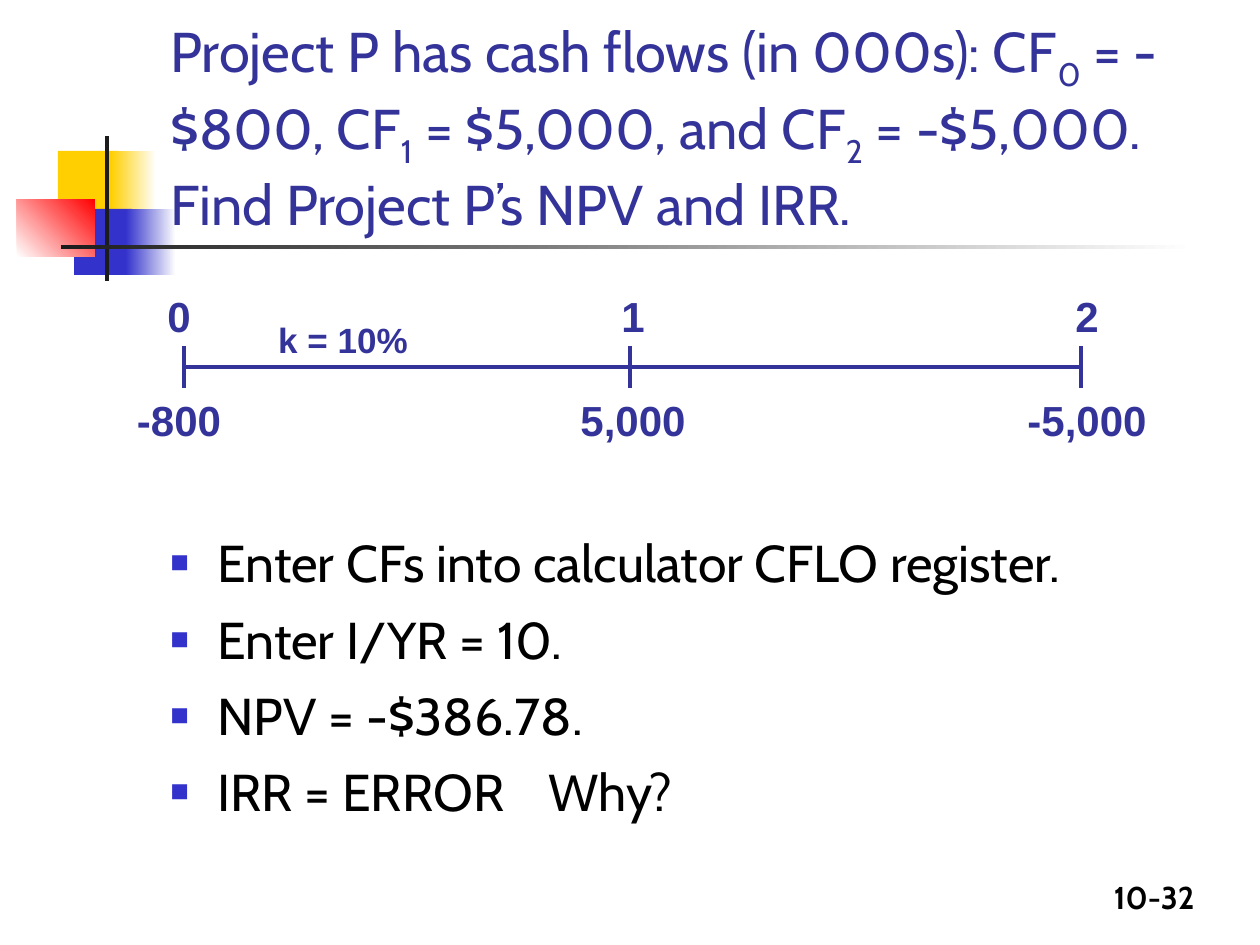
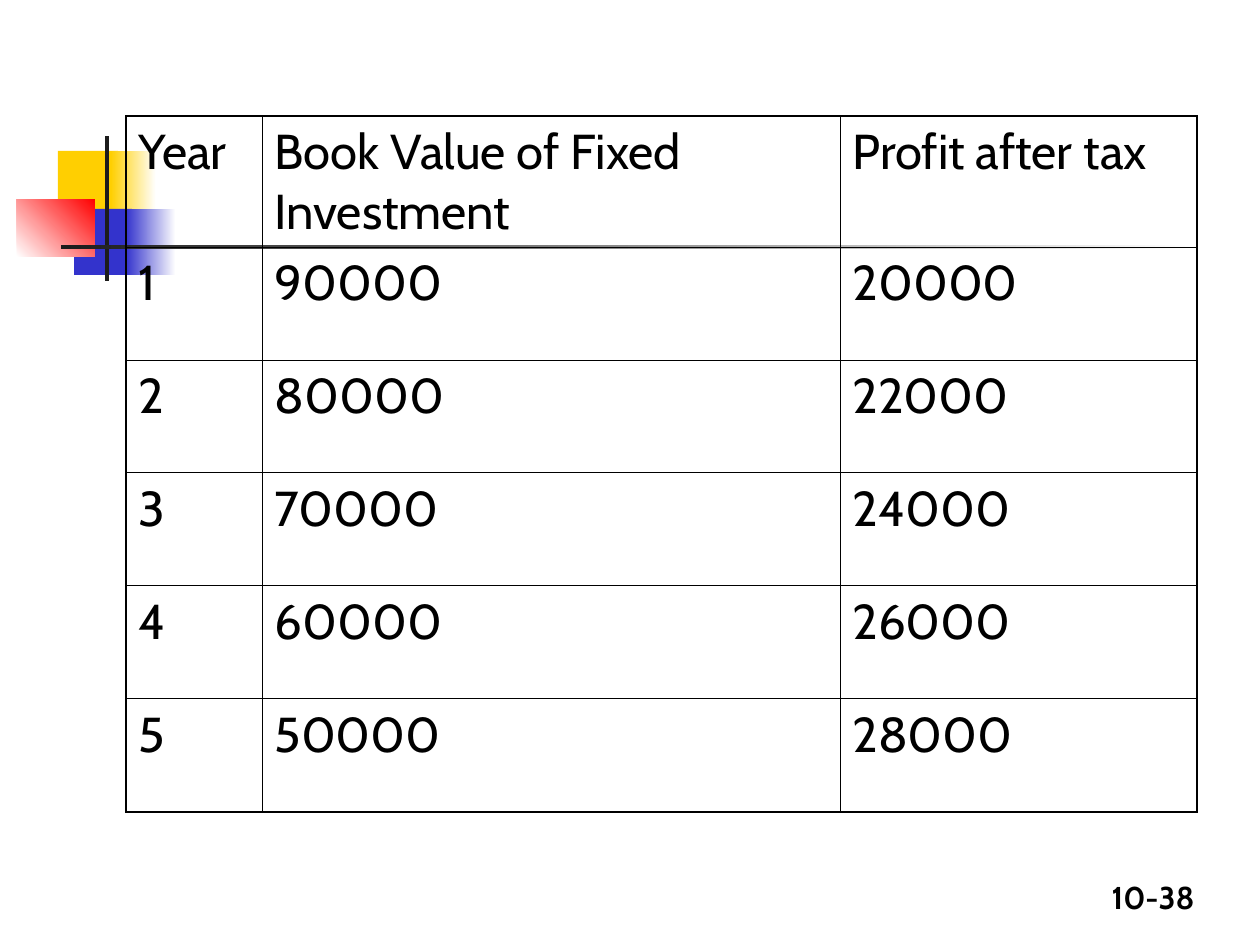
"""Build two capital budgeting slides: a cash flow time line and a book value table."""
from lxml import etree
from pptx import Presentation
from pptx.dml.color import RGBColor
from pptx.enum.shapes import MSO_CONNECTOR, MSO_SHAPE
from pptx.enum.text import MSO_ANCHOR, PP_ALIGN
from pptx.oxml import parse_xml
from pptx.oxml.ns import nsdecls, qn
from pptx.util import Emu, Pt

STRAIGHT = MSO_CONNECTOR.STRAIGHT
RECTANGLE = MSO_SHAPE.RECTANGLE
BOTTOM = MSO_ANCHOR.BOTTOM
LEFT, CENTER, RIGHT = PP_ALIGN.LEFT, PP_ALIGN.CENTER, PP_ALIGN.RIGHT

BLACK = RGBColor(0x00, 0x00, 0x00)
WHITE = RGBColor(0xFF, 0xFF, 0xFF)
CHARCOAL = RGBColor(0x1C, 0x1C, 0x1C)
YELLOW = RGBColor(0xFF, 0xCF, 0x01)
BLUE = RGBColor(0x33, 0x33, 0xCC)
RED = RGBColor(0xFF, 0x00, 0x00)
INDIGO = RGBColor(0x33, 0x33, 0x99)


def px(*lengths):
    return [Emu(round(length * 914400 / 126)) for length in lengths]


def write(frame, text, size=28, color=BLACK, font="Cabin", bold=False, align=LEFT, gap=0):
    frame.word_wrap = True
    for i, line in enumerate(text.split("\n")):
        paragraph = frame.paragraphs[0] if i == 0 else frame.add_paragraph()
        paragraph.alignment = align
        if i and gap:
            paragraph.space_before = Pt(gap)
        for j, piece in enumerate(line.split("~")):
            run = paragraph.add_run()
            run.text = piece
            run.font.size = Pt(size)
            run.font.name = font
            run.font.bold = bold
            run.font.color.rgb = color
            if j % 2:
                run.font._element.set("baseline", "-25000")
    return frame


MOTIF = [
    ((58, 151, 60, 66), (YELLOW,), 0),
    ((111, 151, 45, 66), (YELLOW, WHITE), 0),
    ((74, 209, 58, 66), (BLUE,), 0),
    ((126, 209, 50, 66), (BLUE, WHITE), 0),
    ((17, 199, 78, 58), (WHITE, RED), 45),
    ((105, 136, 4, 145), (CHARCOAL,), 0),
    ((61, 245, 1134, 4), (CHARCOAL, WHITE), 0),
]

prs = Presentation()
prs.slide_width, prs.slide_height = px(1260, 945)
slides = []
for page in ("10-32", "10-38"):
    slide = prs.slides.add_slide(prs.slide_layouts[6])
    for box, colors, angle in MOTIF:
        block = slide.shapes.add_shape(RECTANGLE, *px(*box))
        block.shadow.inherit = False
        block.line.fill.background()
        if len(colors) == 1:
            block.fill.solid()
            block.fill.fore_color.rgb = colors[0]
        else:
            block.fill.gradient()
            block.fill.gradient_angle = angle
            for stop, color in zip(block.fill.gradient_stops, colors):
                stop.color.rgb = color
    page_number = slide.shapes.add_textbox(*px(945, 872, 262, 55))
    write(page_number.text_frame, page, size=18, bold=True, align=RIGHT)
    slides.append(slide)
cash_flow_slide, book_value_slide = slides

title = cash_flow_slide.shapes.add_textbox(*px(158, 42, 1073, 201)).text_frame
title.vertical_anchor = BOTTOM
write(title, "Project P has cash flows (in 000s): CF~0~ = -$800, CF~1~ = $5,000, "
             "and CF~2~ = -$5,000. Find Project P’s NPV and IRR.", size=32, color=INDIGO)

steps = cash_flow_slide.shapes.add_textbox(*px(158, 525, 1071, 347)).text_frame
write(steps, "Enter CFs into calculator CFLO register.\nEnter I/YR = 10.\n"
             "NPV = -$386.78.\nIRR = ERROR\tWhy?", size=29.6, gap=8)
indent, why_stop = px(47, 378)
for step in steps.paragraphs:
    properties = step._p.get_or_add_pPr()
    properties.set("marL", str(indent))
    properties.set("indent", str(-indent))
    for xml in (f'<a:buClr {nsdecls("a")}><a:srgbClr val="{BLUE}"/></a:buClr>',
                f'<a:buSzPct {nsdecls("a")} val="60000"/>',
                f'<a:buFont {nsdecls("a")} typeface="Arial"/>',
                f'<a:buChar {nsdecls("a")} char="■"/>',
                f'<a:tabLst {nsdecls("a")}><a:tab pos="{why_stop}" algn="l"/></a:tabLst>'):
        properties.append(parse_xml(xml))

TICKS = (184, 630, 1081)
AXIS_Y, TICK_TOP, TICK_BOTTOM = 367, 346, 388
time_lines = [(TICKS[0], AXIS_Y, TICKS[-1], AXIS_Y)]
time_lines += [(x, TICK_TOP, x, TICK_BOTTOM) for x in TICKS]
for ends in time_lines:
    stroke = cash_flow_slide.shapes.add_connector(STRAIGHT, *px(*ends))
    stroke.line.color.rgb = INDIGO
    stroke.line.width = Pt(2)
    etree.SubElement(stroke._element.spPr, qn("a:effectLst"))

LABEL_WIDTH = 170
time_labels = [("k = 10%", 343, 312, 20)]
for period, cash_flow in enumerate(("-800", "5,000", "-5,000")):
    center = 179 + 454 * period
    time_labels += [(str(period), center, 284, 24), (cash_flow, center, TICK_BOTTOM, 24)]
for text, center, top, size in time_labels:
    label = cash_flow_slide.shapes.add_textbox(
        *px(center - LABEL_WIDTH / 2, top, LABEL_WIDTH, 63))
    write(label.text_frame, text, size=size, color=INDIGO, font="Arial", bold=True, align=CENTER)

BOOK_VALUES = [
    ("Year", "Book Value of Fixed Investment", "Profit after tax"),
    (1, 90000, 20000),
    (2, 80000, 22000),
    (3, 70000, 24000),
    (4, 60000, 26000),
    (5, 50000, 28000),
]
COLUMN_WIDTHS = (136, 578, 357)
ROW_HEIGHTS = (131,) + (113,) * 5
table = book_value_slide.shapes.add_table(
    len(ROW_HEIGHTS), len(COLUMN_WIDTHS),
    *px(126, 116, sum(COLUMN_WIDTHS), sum(ROW_HEIGHTS))).table
table.first_row = table.horz_banding = False
for column, width in zip(table.columns, px(*COLUMN_WIDTHS)):
    column.width = width
for row, height in zip(table.rows, px(*ROW_HEIGHTS)):
    row.height = height

last_row, last_column = len(ROW_HEIGHTS) - 1, len(COLUMN_WIDTHS) - 1
for r, values in enumerate(BOOK_VALUES):
    for c, value in enumerate(values):
        cell = table.cell(r, c)
        cell.fill.background()
        write(cell.text_frame, str(value))
        outer_edges = {"L": c == 0, "R": c == last_column, "T": r == 0, "B": r == last_row}
        for position, (side, outer) in enumerate(outer_edges.items()):
            border = parse_xml(
                f'<a:ln{side} {nsdecls("a")} w="{Pt(1.08 if outer else 0.45)}"><a:solidFill>'
                f'<a:srgbClr val="{BLACK}"/></a:solidFill></a:ln{side}>')
            cell._tc.get_or_add_tcPr().insert(position, border)

prs.save("out.pptx")
